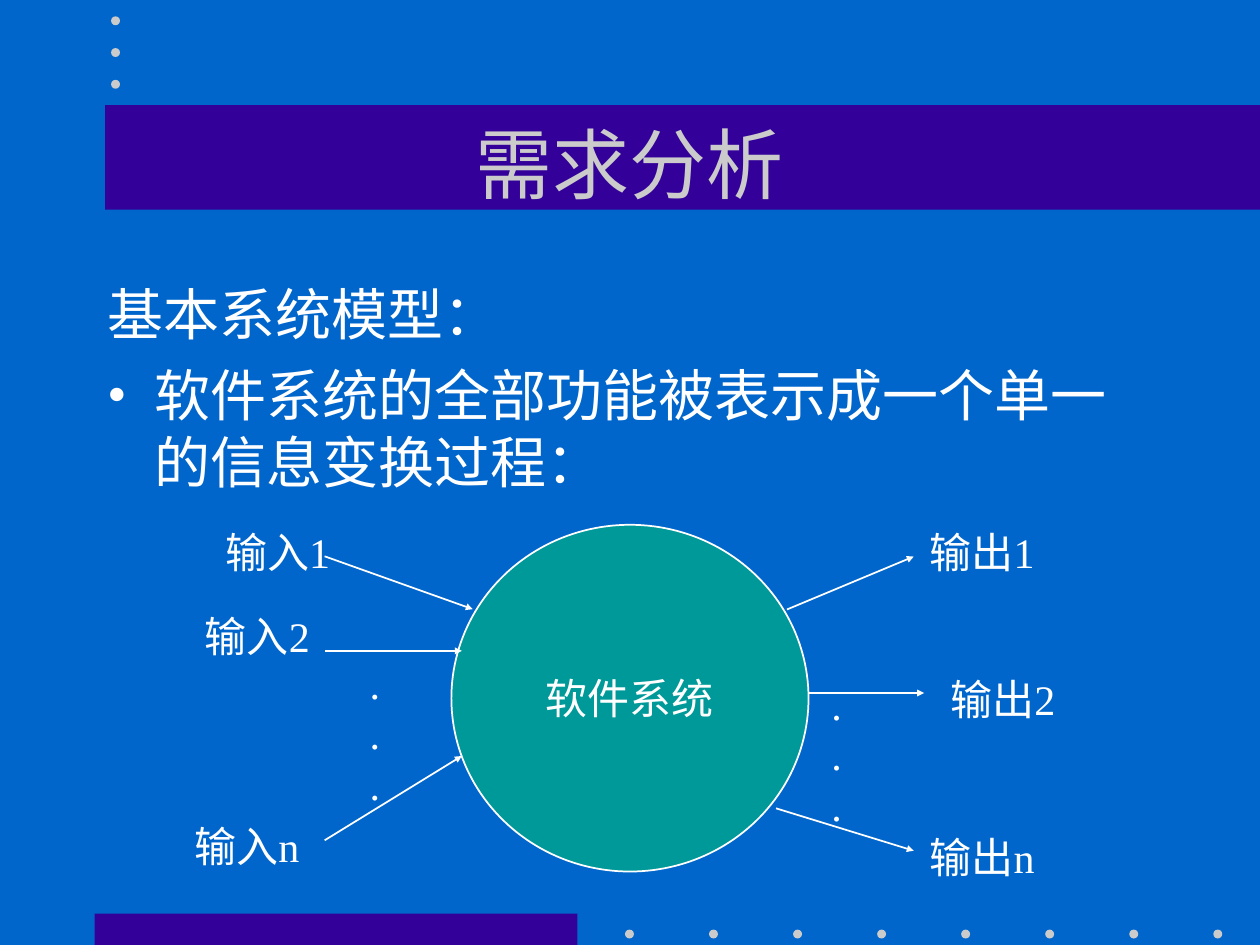
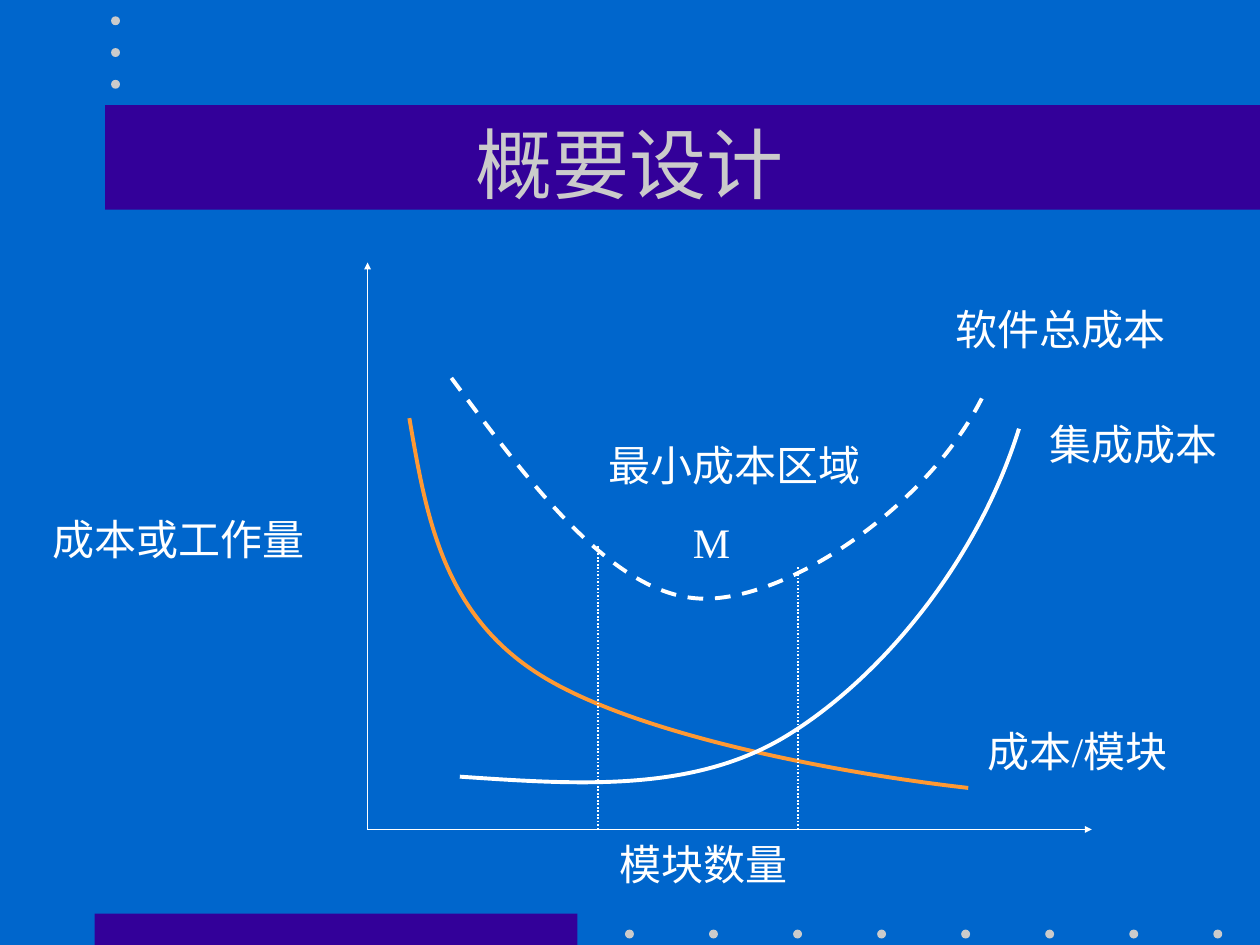
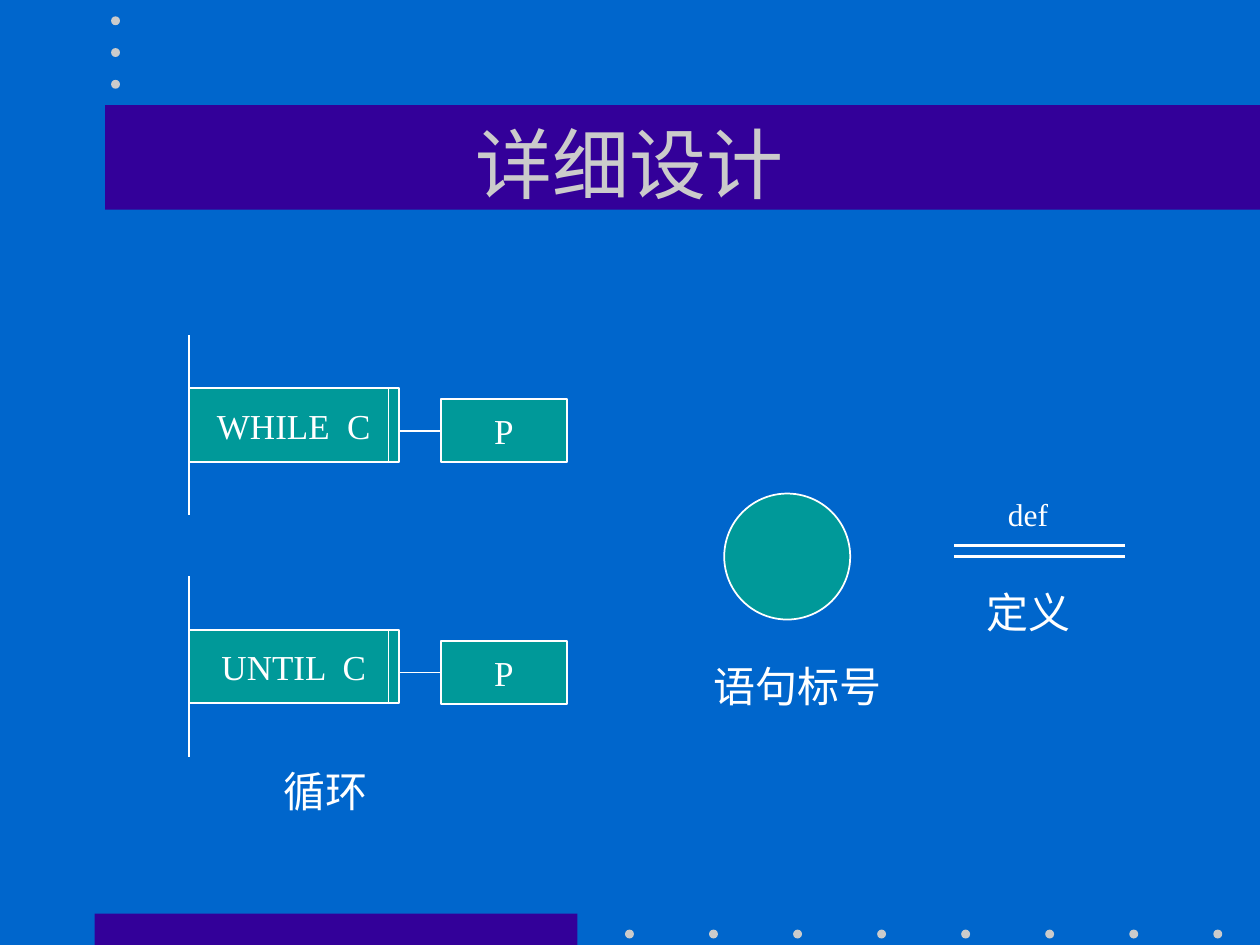
from dataclasses import dataclass

from pptx import Presentation
from pptx.dml.color import RGBColor
from pptx.enum.dml import MSO_LINE
from pptx.enum.shapes import MSO_CONNECTOR, MSO_SHAPE
from pptx.enum.text import MSO_ANCHOR, MSO_AUTO_SIZE, PP_ALIGN
from pptx.oxml.ns import qn
from pptx.util import Cm, Pt
from lxml.etree import SubElement


@dataclass(frozen=True)
class Theme:
    background: RGBColor = RGBColor(0x00, 0x66, 0xCC)
    band: RGBColor = RGBColor(0x33, 0x00, 0x99)
    grey: RGBColor = RGBColor(0xCB, 0xCB, 0xCB)
    teal: RGBColor = RGBColor(0x00, 0x99, 0x99)
    white: RGBColor = RGBColor(0xFF, 0xFF, 0xFF)
    orange: RGBColor = RGBColor(0xFF, 0x99, 0x33)
    font: str = "Times New Roman"
    title_size: int = 44
    body_size: int = 32
    label_size: int = 24
    box_size: int = 20
    small_size: int = 18
    thin: float = 1
    medium: float = 1.5
    thick: float = 2.25


THEME = Theme()

# All positions and lengths below are in centimetres.
# Labels: text, left, top, width
MODEL = {
    "title": "需求分析",
    "heading": "基本系统模型：",
    "bullet": "软件系统的全部功能被表示成一个单一的信息变换过程：",
    "system": ("软件系统", 9.1, 10.58, 7.2, 6.99),
    "flows": [
        (6.56, 11.22, 9.53, 12.28),
        (6.56, 16.93, 9.31, 15.24),
        (15.88, 12.28, 18.42, 11.22),
        (16.3, 13.97, 18.63, 13.97),
        (15.66, 16.3, 18.42, 17.15),
        (6.56, 13.12, 9.31, 13.12),
    ],
    "labels": [
        ("输入1", 4.29, 10.49, 2.82),
        ("输入2", 3.88, 12.19, 2.82),
        ("输入n", 3.67, 16.41, 2.82),
        ("输出n", 18.49, 16.64, 2.82),
        ("输出2", 18.91, 13.46, 2.82),
        ("输出1", 18.49, 10.49, 2.82),
        (".\n.\n.", 7.2, 13.13, 0.71),
        (".\n.\n.", 16.51, 13.55, 0.71),
    ],
}

COST = {
    "title": "概要设计",
    "origin": (7.41, 16.72),
    "axis_ends": [(7.41, 5.29), (22.01, 16.72)],
    "region_limits": [(12.06, 11.01), (16.09, 11.43)],
    # Each curve: Bézier start point, then three points per segment
    "curves": [
        ([(8.26, 8.47), (8.59, 10.39), (8.92, 12.32), (10.8, 13.55),
          (12.67, 14.78), (16.76, 15.57), (19.48, 15.88)], THEME.orange, None),
        ([(9.31, 15.66), (11.66, 15.82), (14, 15.98), (15.88, 14.82),
          (17.75, 13.67), (19.69, 11.35), (20.53, 8.68)], THEME.white, None),
        ([(9.1, 7.62), (10.74, 9.83), (12.4, 12.04), (14.18, 12.07),
          (15.98, 12.09), (18.87, 10.08), (19.89, 7.83)], THEME.white, MSO_LINE.DASH),
    ],
    "labels": [
        ("软件总成本", 19.01, 5.99, 4.8),
        ("集成成本", 20.9, 8.31, 3.95),
        ("成本/模块", 19.66, 14.51, 4.65),
        ("模块数量", 12.24, 16.78, 3.95),
        ("成本或工作量", 0.81, 10.22, 5.65),
        ("最小成本区域", 12.01, 8.74, 5.65),
        ("M", 13.72, 10.29, 1.26),
    ],
}

DETAIL = {
    "title": "详细设计",
    "loops": [("WHILE  C", 7.83), ("UNTIL  C", 12.7)],
    "process": "P",
    "statement_circle": (14.6, 9.95, 2.54, 2.54),
    "definition_lines": [11, 11.22],
    "labels": [
        ("循环", 5.46, 15.3, 2.25),
        ("语句标号", 14.13, 13.19, 3.95),
        ("定义", 19.63, 11.7, 2.25),
    ],
    "definition": ("def", 20.07, 9.86, 1.34),
}


def style_paragraph(paragraph, size, color=THEME.white, alignment=None):
    paragraph.alignment = alignment
    paragraph.font.name = THEME.font
    paragraph.font.size = Pt(size)
    paragraph.font.color.rgb = color


def add_filled_shape(slide, kind, left, top, width, height, fill, outline=None):
    shape = slide.shapes.add_shape(kind, Cm(left), Cm(top), Cm(width), Cm(height))
    shape.shadow.inherit = False
    shape.fill.solid()
    shape.fill.fore_color.rgb = fill
    if outline is None:
        shape.line.fill.background()
    else:
        shape.line.color.rgb = outline
        shape.line.width = Pt(THEME.thin)
    return shape


def add_node(slide, kind, left, top, width, height, text="", size=THEME.box_size):
    """Teal shape with a white outline and optional centred text."""
    node = add_filled_shape(slide, kind, left, top, width, height, THEME.teal, THEME.white)
    if text:
        frame = node.text_frame
        frame.word_wrap = False
        frame.vertical_anchor = MSO_ANCHOR.MIDDLE
        frame.text = text
        style_paragraph(frame.paragraphs[0], size, alignment=PP_ALIGN.CENTER)
    return node


def style_stroke(shape, color, width, dash=None):
    """Colour, width and dash; solid strokes get square ends. Returns the a:ln element."""
    shape.line.color.rgb = color
    shape.line.width = Pt(width)
    stroke = shape._element.spPr.find(qn("a:ln"))
    if dash is None:
        stroke.set("cap", "sq")
    else:
        shape.line.dash_style = dash
    return stroke


def add_line(slide, x1, y1, x2, y2, width=THEME.thin, arrow=False, dash=None):
    line = slide.shapes.add_connector(MSO_CONNECTOR.STRAIGHT, Cm(x1), Cm(y1), Cm(x2), Cm(y2))
    stroke = style_stroke(line, THEME.white, width, dash)
    if arrow:
        SubElement(stroke, qn("a:tailEnd"), type="triangle", w="sm", len="sm")
    SubElement(line._element.spPr, qn("a:effectLst"))
    return line


def add_label(slide, text, left, top, width, size=THEME.label_size):
    lines = text.split("\n")
    height = 0.25 + len(lines) * size * 0.0425
    frame = slide.shapes.add_textbox(Cm(left), Cm(top), Cm(width), Cm(height)).text_frame
    frame.word_wrap = False
    frame.auto_size = MSO_AUTO_SIZE.SHAPE_TO_FIT_TEXT
    frame.text = text
    for paragraph in frame.paragraphs:
        style_paragraph(paragraph, size)


def add_curve(slide, controls, color, dash):
    """Freeform through the control points, with each three lines merged into a cubic."""
    points = [(Cm(x), Cm(y)) for x, y in controls]
    builder = slide.shapes.build_freeform(*points[0])
    builder.add_line_segments(points[1:], close=False)
    curve = builder.convert_to_shape()
    segments = list(curve._element.iter(qn("a:lnTo")))
    outline = segments[0].getparent()
    for first in range(0, len(segments), 3):
        cubic = SubElement(outline, qn("a:cubicBezTo"))
        for segment in segments[first:first + 3]:
            cubic.append(segment[0])
            outline.remove(segment)
    curve.shadow.inherit = False
    curve.fill.background()
    style_stroke(curve, color, THEME.thick, dash)


def add_master_decoration(presentation, slide):
    """Draw the bands and dots on a slide, then move them to the slide master."""
    decoration = [
        add_filled_shape(slide, MSO_SHAPE.RECTANGLE, *band, THEME.band)
        for band in [(1.91, 18.42, 9.73, 0.63), (2.12, 2.12, 23.28, 2.11)]]
    dots = [(12.6 + 11.86 * i / 7, 18.74) for i in range(8)]
    dots += [(2.24, 0.33 + 0.64 * i) for i in range(3)]
    decoration += [
        add_filled_shape(slide, MSO_SHAPE.OVAL, left, top, 0.18, 0.18, THEME.grey)
        for left, top in dots]
    master_tree = presentation.slide_master.shapes._spTree
    for number, shape in enumerate(decoration, start=100):
        shape._element.nvSpPr.cNvPr.set("id", str(number))
        master_tree.append(shape._element)


def add_titled_slide(presentation, title):
    slide = presentation.slides.add_slide(presentation.slide_layouts[6])
    frame = slide.shapes.add_textbox(Cm(1.9), Cm(1.69), Cm(21.59), Cm(3.18)).text_frame
    frame.word_wrap = True
    frame.vertical_anchor = MSO_ANCHOR.MIDDLE
    frame.text = title
    style_paragraph(frame.paragraphs[0], THEME.title_size, THEME.grey, PP_ALIGN.CENTER)
    return slide


def add_model_text(slide):
    frame = slide.shapes.add_textbox(Cm(1.91), Cm(5.51), Cm(21.59), Cm(11.43)).text_frame
    frame.word_wrap = True
    frame.text = MODEL["heading"] + "\n" + MODEL["bullet"]
    heading, bullet = frame.paragraphs
    properties = bullet._p.get_or_add_pPr()
    properties.set("marL", str(Cm(0.95)))
    properties.set("indent", str(-Cm(0.95)))
    SubElement(properties, qn("a:buFont"), typeface=THEME.font)
    SubElement(properties, qn("a:buChar"), char="•")
    bullet.space_before = Pt(8)
    for paragraph in (heading, bullet):
        style_paragraph(paragraph, THEME.body_size)


def build_model_slide(presentation):
    slide = add_titled_slide(presentation, MODEL["title"])
    add_model_text(slide)
    text, *bounds = MODEL["system"]
    add_node(slide, MSO_SHAPE.OVAL, *bounds, text, THEME.label_size)
    for flow in MODEL["flows"]:
        add_line(slide, *flow, arrow=True)
    for label in MODEL["labels"]:
        add_label(slide, *label)
    return slide


def build_cost_slide(presentation):
    slide = add_titled_slide(presentation, COST["title"])
    for end in COST["axis_ends"]:
        add_line(slide, *COST["origin"], *end, arrow=True)
    for curve in COST["curves"]:
        add_curve(slide, *curve)
    baseline = COST["origin"][1]
    for x, top in COST["region_limits"]:
        add_line(slide, x, baseline, x, top, dash=MSO_LINE.ROUND_DOT)
    for label in COST["labels"]:
        add_label(slide, *label)


def add_loop(slide, condition, top):
    left, width, height = 3.81, 4.23, 1.48
    right, divider = left + width, left + width - 0.21
    process_left, process_top, process_height = 8.89, top + 0.22, 1.27
    add_node(slide, MSO_SHAPE.RECTANGLE, left, top, width, height, condition)
    add_line(slide, left, top - 1.06, left, top + 2.54)
    add_line(slide, divider, top, divider, top + height)
    process = add_node(slide, MSO_SHAPE.RECTANGLE, process_left, process_top,
                       2.54, process_height, DETAIL["process"])
    middle = process_top + process_height / 2
    link = add_line(slide, right, middle, process_left, middle)
    link.end_connect(process, 1)


def build_detail_slide(presentation):
    slide = add_titled_slide(presentation, DETAIL["title"])
    for condition, top in DETAIL["loops"]:
        add_loop(slide, condition, top)
    add_node(slide, MSO_SHAPE.OVAL, *DETAIL["statement_circle"])
    for y in DETAIL["definition_lines"]:
        add_line(slide, 19.25, y, 22.66, y, width=THEME.medium)
    for label in DETAIL["labels"]:
        add_label(slide, *label)
    add_label(slide, *DETAIL["definition"], THEME.small_size)


def main():
    presentation = Presentation()
    presentation.slide_width = Cm(25.4)
    presentation.slide_height = Cm(19.05)
    background = presentation.slide_master.background.fill
    background.solid()
    background.fore_color.rgb = THEME.background
    model_slide = build_model_slide(presentation)
    add_master_decoration(presentation, model_slide)
    build_cost_slide(presentation)
    build_detail_slide(presentation)
    presentation.save("out.pptx")


if __name__ == "__main__":
    main()
